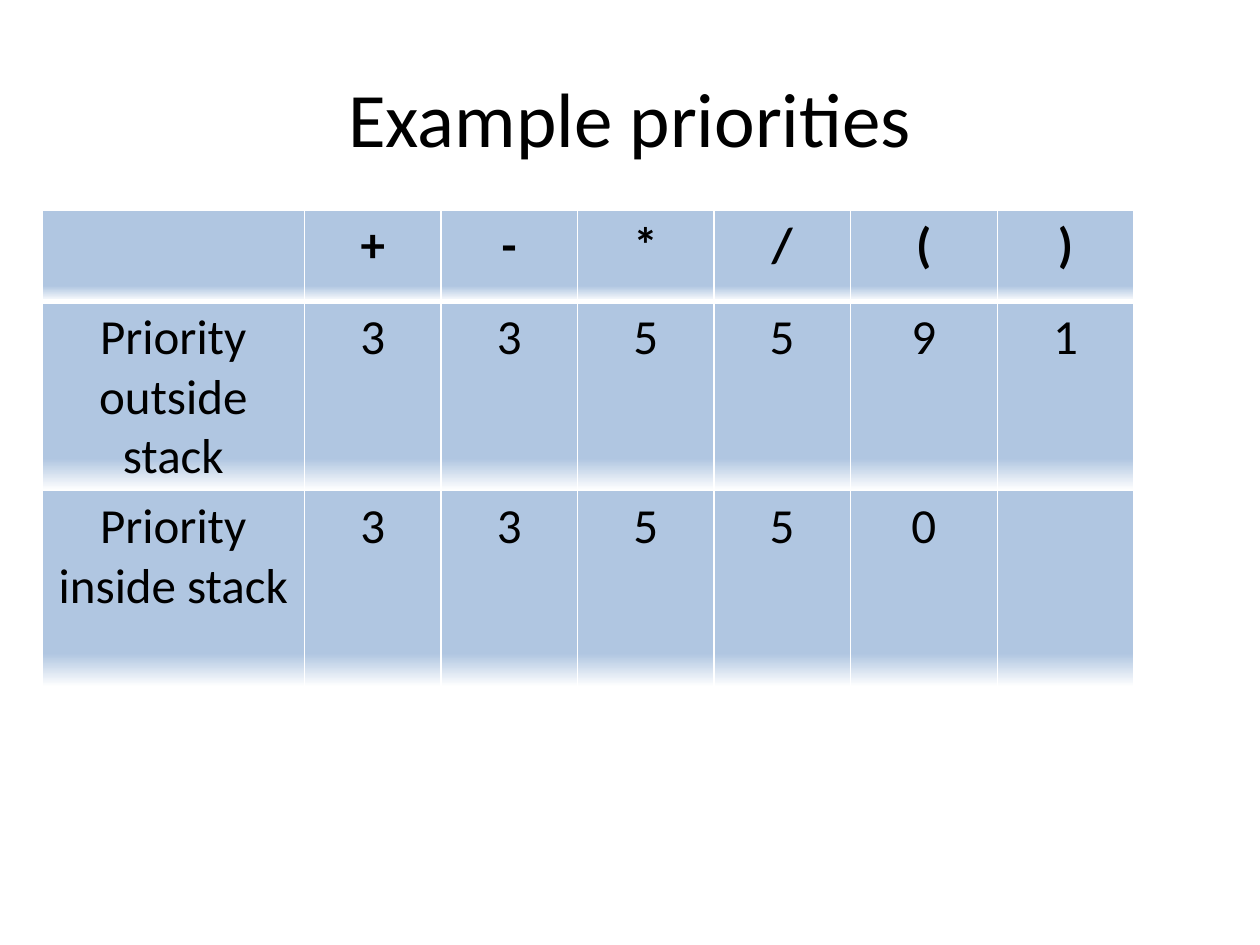
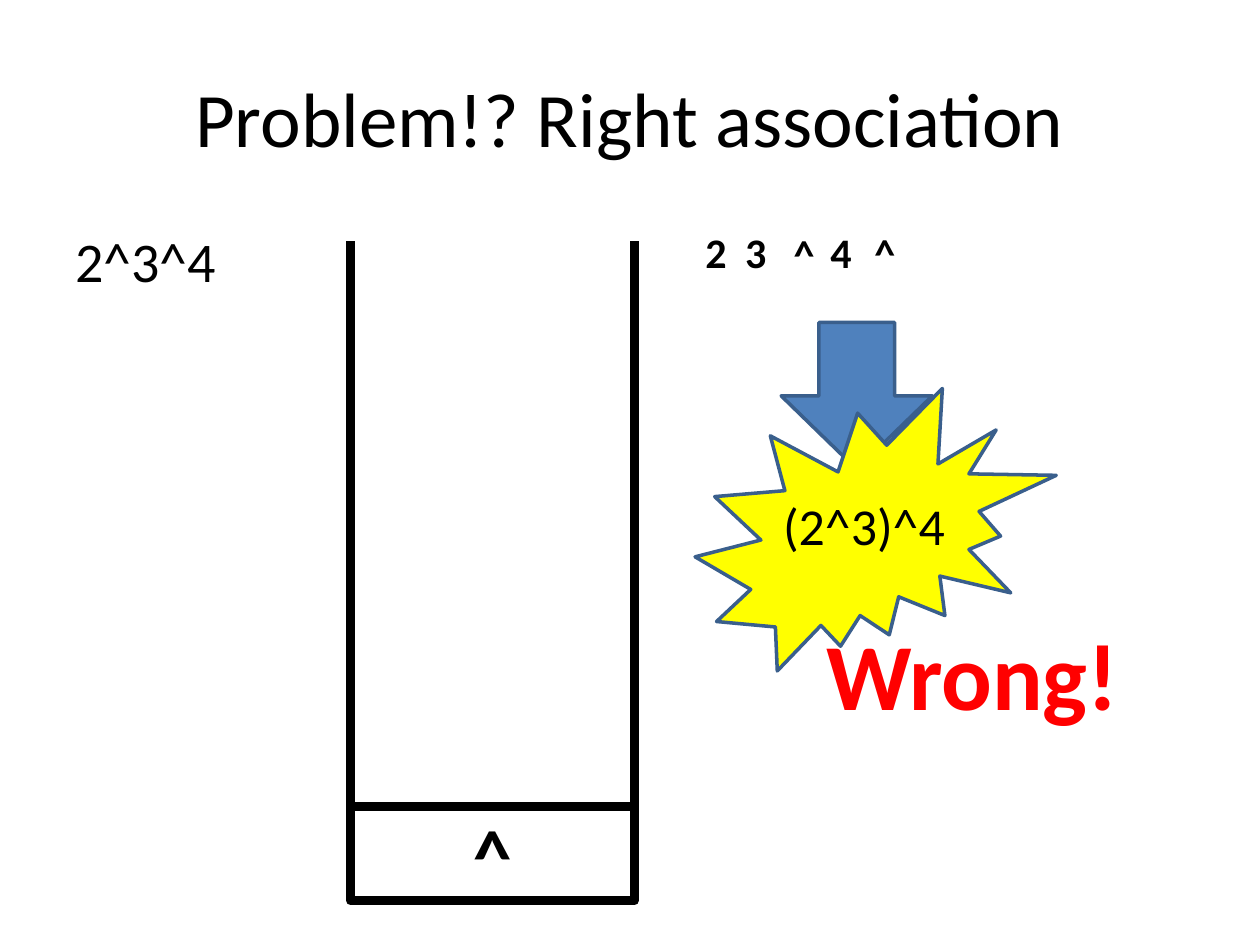
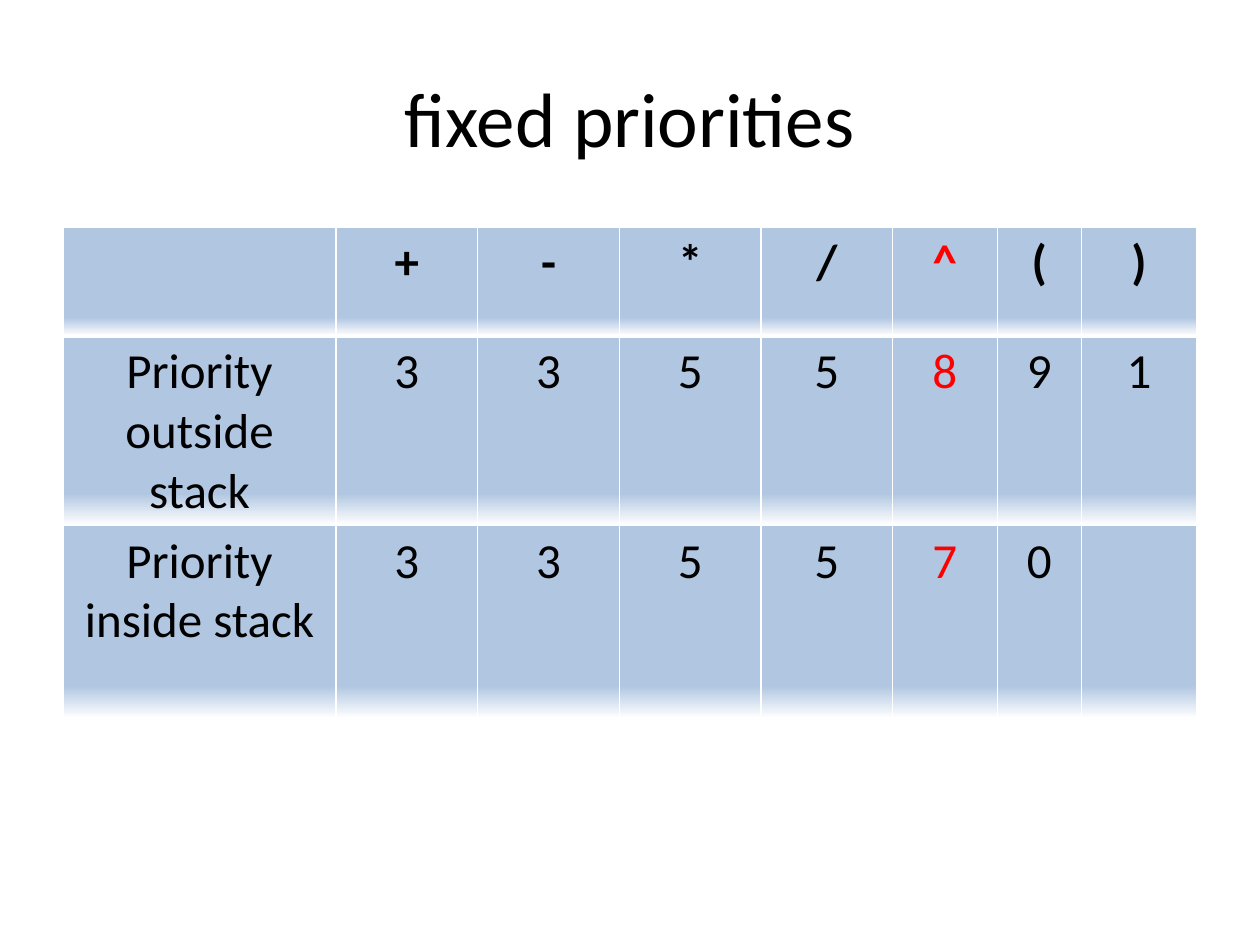
from lxml import etree
from pptx import Presentation
from pptx.dml.color import RGBColor
from pptx.enum.shapes import MSO_CONNECTOR, MSO_SHAPE
from pptx.enum.text import MSO_ANCHOR, PP_ALIGN
from pptx.oxml import parse_xml
from pptx.oxml.ns import nsdecls, qn
from pptx.util import Inches, Pt

LEFT, CENTER = PP_ALIGN.LEFT, PP_ALIGN.CENTER
TOP, MIDDLE = MSO_ANCHOR.TOP, MSO_ANCHOR.MIDDLE
STRAIGHT = MSO_CONNECTOR.STRAIGHT
RECTANGLE, DOWN_ARROW = MSO_SHAPE.RECTANGLE, MSO_SHAPE.DOWN_ARROW
BURST = MSO_SHAPE.EXPLOSION2

FONT = "Calibri"
BLACK, WHITE, RED, YELLOW = "000000", "FFFFFF", "FF0000", "FFFF00"
BLUE, DARK_BLUE, PALE_BLUE, ICE_BLUE = "4F81BD", "3A5F8C", "B0C6E1", "CAD9EB"
FADE = [(74, PALE_BLUE), (83, PALE_BLUE), (100, WHITE), (100, ICE_BLUE)]

deck = Presentation()
deck.slide_width, deck.slide_height = Inches(10), Inches(7.5)
UNIT = deck.slide_width / 120


def grid(*cells):
    return [round(cell * UNIT) for cell in cells]


def write(frame, text, size, color=BLACK, bold=False, align=LEFT, anchor=TOP):
    frame.word_wrap = True
    frame.vertical_anchor = anchor
    paragraph = frame.paragraphs[0]
    paragraph.alignment = align
    run = paragraph.add_run()
    run.text = text
    run.font.name = FONT
    run.font.size = Pt(size)
    run.font.bold = bold
    run.font.color.rgb = RGBColor.from_string(color)


slides = []
for heading in ["Example priorities", "Problem!? Right association", "fixed priorities"]:
    slide = deck.slides.add_slide(deck.slide_layouts[6])
    title = slide.shapes.add_textbox(*grid(6, 3.6, 108, 15))
    write(title.text_frame, heading, 44, align=CENTER, anchor=MIDDLE)
    slides.append(slide)
example, problem, fixed = slides

OUTSIDE, INSIDE = "Priority outside stack", "Priority inside stack"
priority_tables = [
    (example, (4, 20), [25, 13, 13, 13, 13, 14, 13], [8.7, 17.4, 18.7],
     [["", *"+-*/()"], [OUTSIDE, *"335591"], [INSIDE, *"33550", ""]]),
    (fixed, (6, 21.6), [26, 13.5, 13.5, 13.5, 12.5, 10, 8, 11], [10.4, 17.6, 18.4],
     [["", *"+-*/^()"], [OUTSIDE, *"3355891"], [INSIDE, *"335570", ""]]),
]
for slide, corner, widths, heights, priorities in priority_tables:
    table = slide.shapes.add_table(
        len(heights), len(widths), *grid(*corner, sum(widths), sum(heights))).table
    table.first_row = table.horz_banding = False
    for column, width in zip(table.columns, grid(*widths)):
        column.width = width
    for row, height in zip(table.rows, grid(*heights)):
        row.height = height
    for r, values in enumerate(priorities):
        for c, value in enumerate(values):
            cell = table.cell(r, c)
            if value:
                added = priorities[0][c] == "^"
                write(cell.text_frame, value, 28, RED if added else BLACK, r == 0, CENTER)
            properties = cell._tc.get_or_add_tcPr()
            for side in ["lnL", "lnR", "lnT", "lnB"]:
                thick = (side == "lnB" and r == 0) or (side == "lnT" and r == 1)
                properties.append(parse_xml(
                    f'<a:{side} {nsdecls("a")} w="{Pt(3 if thick else 1)}"><a:solidFill>'
                    f'<a:srgbClr val="{WHITE}"/></a:solidFill></a:{side}>'))
            stops = "".join(
                f'<a:gs pos="{share * 1000}"><a:srgbClr val="{color}"/></a:gs>'
                for share, color in FADE)
            properties.append(parse_xml(
                f'<a:gradFill {nsdecls("a")}><a:gsLst>{stops}</a:gsLst>'
                '<a:lin ang="5400000" scaled="0"/></a:gradFill>'))

expression = problem.shapes.add_textbox(*grid(6, 21, 19, 8))
write(expression.text_frame, "2^3^4", 32)

wall_left, wall_right, wall_top, floor = 33.4, 60.4, 23, 85.8
stack_walls = [
    (wall_left, wall_top, wall_left, floor),
    (wall_right, floor, wall_right, wall_top),
    (wall_right, floor, wall_left, floor),
]
for ends in stack_walls:
    wall = problem.shapes.add_connector(STRAIGHT, *grid(*ends))
    wall.line.width = Pt(5)
    wall.line.color.rgb = RGBColor.from_string(BLACK)
    etree.SubElement(wall._element.spPr, qn("a:effectLst"))

for symbol, x, y in [("2", 66, 21), ("3", 69.8, 21), ("^", 74.4, 21.2),
                     ("4", 77.9, 21), ("^", 82.1, 21.1)]:
    output = problem.shapes.add_textbox(*grid(x, y, 7.7, 6))
    write(output.text_frame, symbol, 24, bold=True)

blocks = [
    (RECTANGLE, (wall_left, floor - 9, wall_right - wall_left, 9), None, BLACK, 5, "^"),
    (DOWN_ARROW, (74.4, 30.7, 14.4, 14), BLUE, DARK_BLUE, 2, ""),
    (BURST, (66.2, 37, 34.4, 26.9), YELLOW, DARK_BLUE, 2, ""),
]
for outline, area, fill, edge, weight, operator in blocks:
    block = problem.shapes.add_shape(outline, *grid(*area))
    block.shadow.inherit = False
    if fill:
        block.fill.solid()
        block.fill.fore_color.rgb = RGBColor.from_string(fill)
    else:
        block.fill.background()
    block.line.width = Pt(weight)
    block.line.color.rgb = RGBColor.from_string(edge)
    if operator:
        write(block.text_frame, operator, 44, bold=True, align=CENTER, anchor=MIDDLE)

result = problem.shapes.add_textbox(*grid(73.4, 46.4, 19, 8))
write(result.text_frame, "(2^3)^4", 29.6)
verdict = problem.shapes.add_textbox(*grid(77.5, 58.1, 36.5, 12.1))
write(verdict.text_frame, "Wrong!", 54, RED, True)

deck.save("out.pptx")
